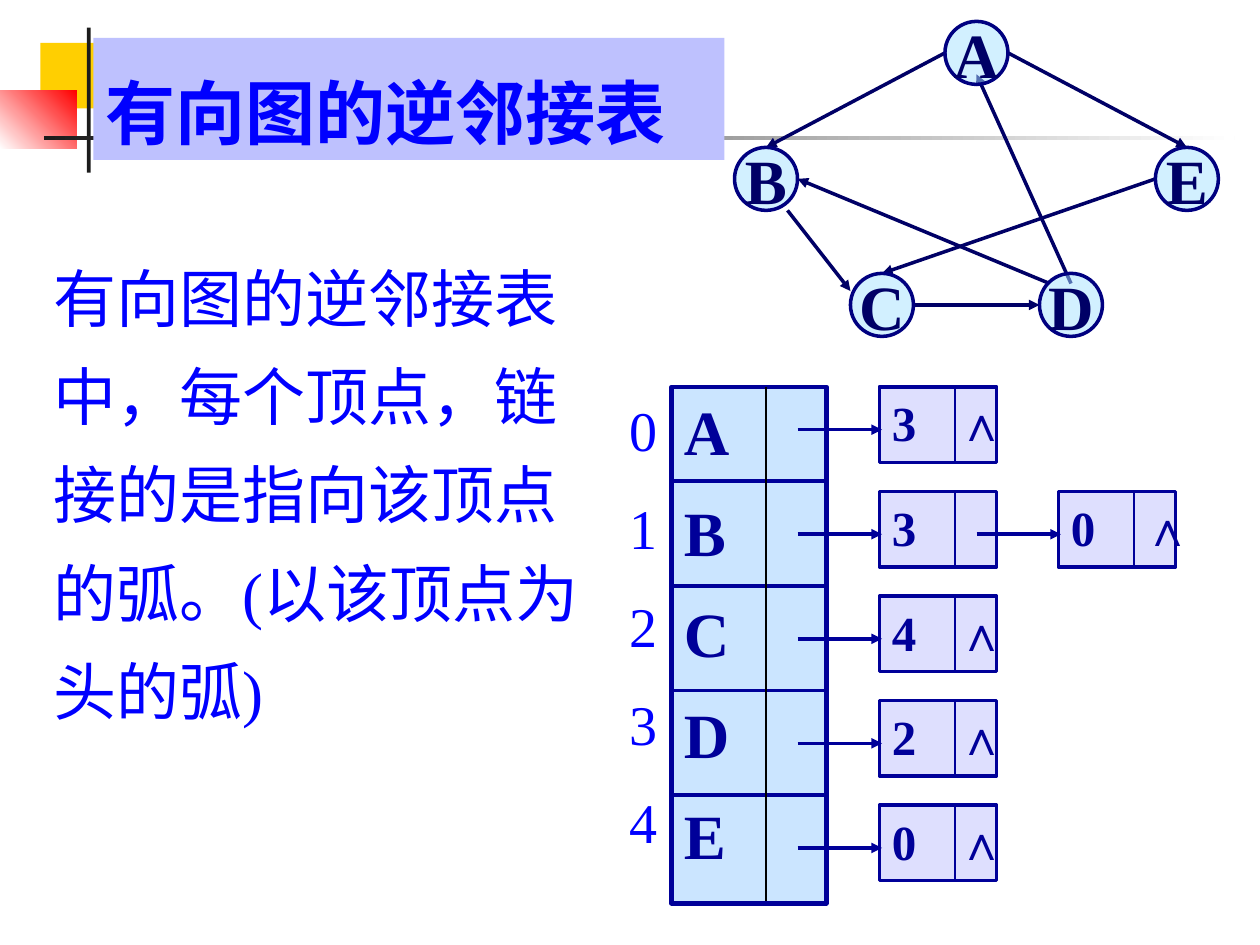
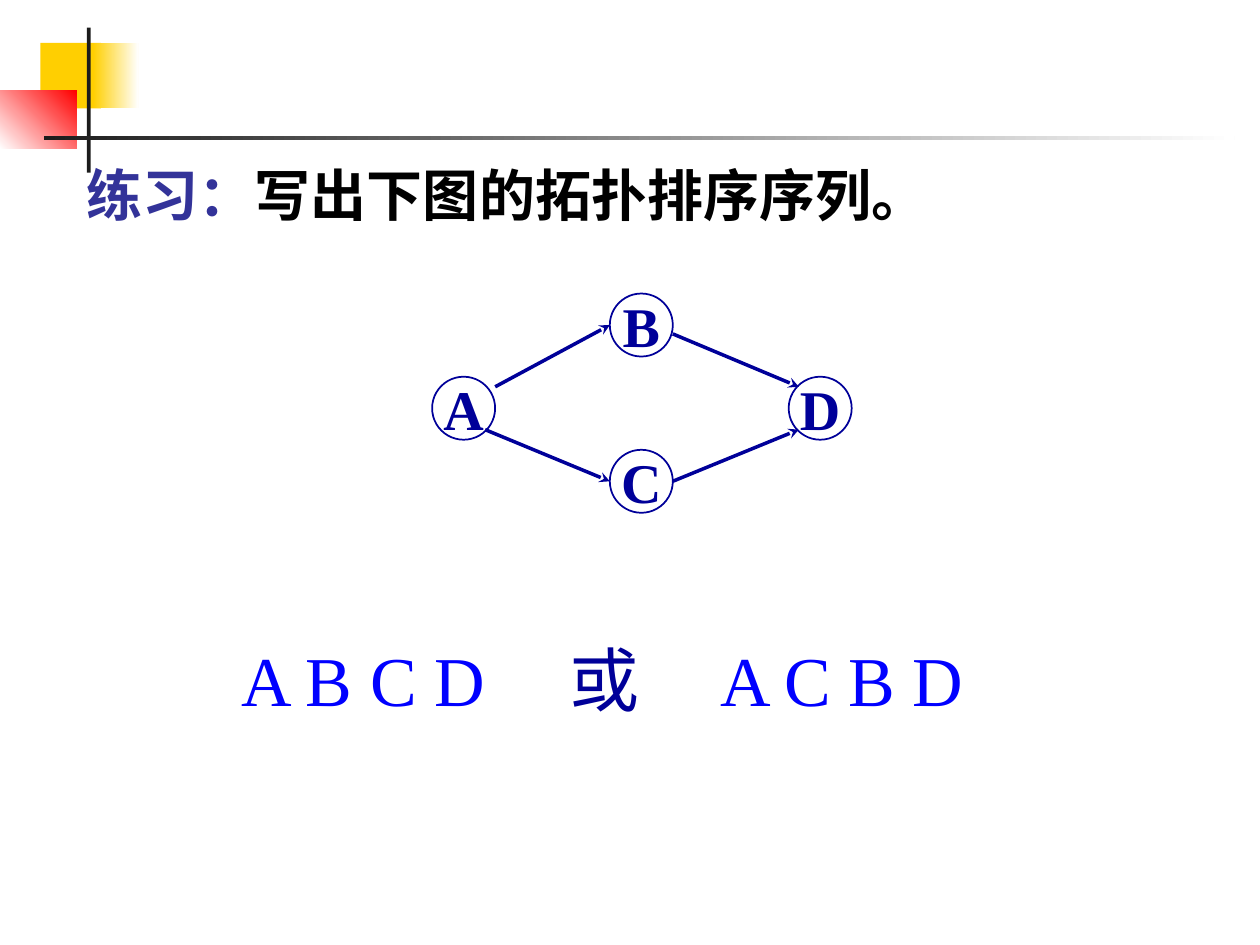
from lxml import etree
from pptx import Presentation
from pptx.dml.color import RGBColor
from pptx.enum.shapes import MSO_CONNECTOR, MSO_SHAPE
from pptx.enum.text import MSO_ANCHOR, MSO_AUTO_SIZE, PP_ALIGN
from pptx.oxml.ns import qn
from pptx.util import Inches, Pt

RECT, OVAL = MSO_SHAPE.RECTANGLE, MSO_SHAPE.OVAL
STRAIGHT = MSO_CONNECTOR.STRAIGHT
TOP, MIDDLE, BOTTOM = MSO_ANCHOR.TOP, MSO_ANCHOR.MIDDLE, MSO_ANCHOR.BOTTOM
LEFT, CENTER = PP_ALIGN.LEFT, PP_ALIGN.CENTER
GROW = MSO_AUTO_SIZE.SHAPE_TO_FIT_TEXT

SERIF, HAN = "Times New Roman", "Noto Sans CJK SC"
WHITE = RGBColor(0xFF, 0xFF, 0xFF)
BLACK = RGBColor(0, 0, 0)
GOLD = RGBColor(0xFF, 0xCF, 0x01)
RED = RGBColor(0xFF, 0, 0)
CHARCOAL = RGBColor(0x1C, 0x1C, 0x1C)
BLUE = RGBColor(0, 0, 0xFF)
INDIGO = RGBColor(0x33, 0x33, 0x99)
NAVY = RGBColor(0, 0, 0x99)
DARK_NAVY = RGBColor(0, 0, 0x66)
RIM = RGBColor(0, 0, 0x80)
LILAC = RGBColor(0xBE, 0xC1, 0xFE)
SKY = RGBColor(0x99, 0xCC, 0xFF)
AQUA = RGBColor(0xA7, 0xE2, 0xFF)

RADIUS = 0.25
# Points on a vertex, as offsets from its centre
N, E, W = (0, -RADIUS), (RADIUS, 0), (-RADIUS, 0)
NW, SW, SE = (-0.17, -0.17), (-0.17, 0.17), (0.17, 0.17)

ROW_TOP, ROW_STEP = 3.07, 0.83
NODE_LEFT, NODE_STEP = 6.98, 1.42
NODE_WIDTH, NODE_HEIGHT, NODE_DIVIDER = 0.93, 0.6, 0.6
LINKED_ROWS = [[3], [3, 0], [4], [2], [0]]


def inches(*lengths):
    return [Inches(length) for length in lengths]


def add_panel(page, kind, place, fill=None, line=None, width=1, opacity=100):
    """Add a preset shape; a pair of colours as fill makes a gradient."""
    shape = page.shapes.add_shape(kind, *inches(*place))
    shape.shadow.inherit = False
    if fill is None:
        shape.fill.background()
    elif isinstance(fill, RGBColor):
        shape.fill.solid()
        shape.fill.fore_color.rgb = fill
    else:
        shape.fill.gradient()
        for stop, colour in zip(shape.fill.gradient_stops, fill):
            stop.color.rgb = colour
        shape.fill.gradient_angle = 0
    if opacity < 100:
        colour = shape.fill._xPr.find(qn("a:solidFill"))[0]
        etree.SubElement(colour, qn("a:alpha"), val=str(opacity * 1000))
    if line is None:
        shape.line.fill.background()
    else:
        shape.line.color.rgb = line
        shape.line.width = Pt(width)
    return shape


def add_box(page, place):
    return page.shapes.add_textbox(*inches(*place))


def add_line(page, start, end, colour, width, head=None):
    line = page.shapes.add_connector(STRAIGHT, *inches(*start, *end))
    line.line.color.rgb = colour
    line.line.width = Pt(width)
    if head:
        etree.SubElement(line.line._get_or_add_ln(), qn("a:tailEnd"), type=head)
    etree.SubElement(line._element.spPr, qn("a:effectLst"))


def set_space_before(para, percent):
    para.space_before = Pt(0)
    space = para._p.pPr.find(qn("a:spcBef"))
    space.remove(space[0])
    etree.SubElement(space, qn("a:spcPct"), val=str(percent * 1000))


def set_tabs(para, stops):
    tabs = etree.SubElement(para._p.get_or_add_pPr(), qn("a:tabLst"))
    for stop in stops:
        etree.SubElement(tabs, qn("a:tab"), pos=str(Inches(stop)), algn="l")


def write(shape, lines, size, bold=False, font=SERIF, anchor=TOP, align=LEFT,
          wrap=True, grow=True, spacing=None, before=0):
    """Fill a shape with paragraphs, each a list of (text, colour) runs."""
    frame = shape.text_frame
    frame.word_wrap = wrap
    frame.vertical_anchor = anchor
    if grow:
        frame.auto_size = GROW
    for index, spans in enumerate(lines):
        para = frame.add_paragraph() if index else frame.paragraphs[0]
        para.alignment = align
        if spacing:
            para.line_spacing = spacing
        if before:
            set_space_before(para, before)
        for text, colour in spans:
            span = para.add_run()
            span.text = text
            span.font.name = font
            span.font.size = Pt(size)
            span.font.bold = bold
            span.font.color.rgb = colour
            if max(text) >= "一":
                etree.SubElement(span._r.rPr, qn("a:ea"), typeface=HAN)
    return frame


def add_page(deck):
    """Add a blank page with the shared corner squares and cross lines."""
    page = deck.slides.add_slide(deck.slide_layouts[6])
    add_panel(page, RECT, (0.32, 0.34, 0.48, 0.52), GOLD)
    add_panel(page, RECT, (0.74, 0.34, 0.36, 0.52), (GOLD, WHITE))
    red_square = add_panel(page, RECT, (0, 0.72, 0.61, 0.46), (WHITE, RED))
    red_square.fill.gradient_angle = 45
    add_panel(page, RECT, (0.69, 0.22, 0.03, 1.15), CHARCOAL)
    add_panel(page, RECT, (0.35, 1.08, 9.45, 0.03), (CHARCOAL, WHITE))
    return page


def add_vertices(page, centres, size, colour, **look):
    for name, (x, y) in centres.items():
        place = (x - RADIUS, y - RADIUS, 2 * RADIUS, 2 * RADIUS)
        vertex = add_panel(page, OVAL, place, **look)
        write(vertex, [[(name, colour)]], size, bold=True, anchor=MIDDLE,
              align=CENTER, wrap=False, grow=False)


def add_arcs(page, centres, arcs, colour, head):
    for tail, leave, tip, arrive in arcs:
        start, end = [
            (centres[name][0] + dx, centres[name][1] + dy)
            for name, (dx, dy) in ((tail, leave), (tip, arrive))]
        add_line(page, start, end, colour, 2, head)


def add_list_node(page, row, column, value, last):
    left = NODE_LEFT + column * NODE_STEP
    top = ROW_TOP + row * ROW_STEP
    node = add_panel(page, RECT, (left, top, NODE_WIDTH, NODE_HEIGHT),
                     LILAC, NAVY, 2, opacity=50)
    write(node, [[(str(value), NAVY)]], 28, bold=True)
    divider = left + NODE_DIVIDER
    add_line(page, (divider, top + 0.01), (divider, top + NODE_HEIGHT - 0.01),
             NAVY, 1)
    add_line(page, (left - 0.65, top + 0.34), (left + 0.02, top + 0.34),
             NAVY, 2, "triangle")
    if last:
        mark_left = left + (0.58 if column else 0.52)
        mark = add_box(page, (mark_left, top, 0.44, 0.57))
        write(mark, [[("∧", NAVY)]], 28, bold=True, wrap=False)


def add_vertex_table(page):
    left, width, height, divider = 5.33, 1.23, 4.1, 6.08
    table = add_panel(page, RECT, (left, ROW_TOP, width, height),
                      SKY, NAVY, 2.5, opacity=50)
    write(table, [[(name, NAVY)] for name in "ABCDE"], 36, bold=True, before=40)
    for row in range(1, 5):
        y = ROW_TOP - 0.08 + row * ROW_STEP
        add_line(page, (left, y), (left + 1.25, y), NAVY, 2.25)
    add_line(page, (divider, ROW_TOP), (divider, ROW_TOP + height - 0.02),
             BLACK, 1)


def build_inverse_list(deck):
    page = add_page(deck)
    centres = {"A": (7.75, 0.42), "B": (6.08, 1.42), "E": (9.42, 1.42),
               "C": (7, 2.42), "D": (8.5, 2.42)}
    arcs = [("A", W, "B", N), ("B", (0.17, 0.25), "C", (-0.25, -0.11)),
            ("C", E, "D", W), ("D", (0, -0.17), "A", (0, 0.17)),
            ("A", E, "E", N), ("D", NW, "B", E), ("E", W, "C", N)]
    add_arcs(page, centres, arcs, DARK_NAVY, "triangle")
    add_vertices(page, centres, 36, DARK_NAVY,
                 fill=AQUA, line=RIM, width=2, opacity=50)

    title = add_panel(page, RECT, (0.74, 0.3, 5.01, 0.97), LILAC)
    write(title, [[("有向图的逆邻接表", BLUE)]], 40, bold=True, spacing=1.3)

    add_vertex_table(page)
    for row, values in enumerate(LINKED_ROWS):
        for column, value in enumerate(values):
            add_list_node(page, row, column, value, column == len(values) - 1)

    indices = add_box(page, (4.9, 3.09, 0.42, 3.94))
    write(indices, [[(str(row), BLUE)] for row in range(5)], 32,
          wrap=False, before=55)
    body = add_box(page, (0.33, 1.83, 4.42, 4.01))
    write(body, [[("有向图的逆邻接表中，每个顶点，链接的是指向该顶点的弧。"
                   "(以该顶点为头的弧)", BLUE)]], 36, spacing=1.3)


def build_exercise(deck):
    page = add_page(deck)
    centres = {"B": (5.09, 2.58), "D": (6.51, 3.24),
               "A": (3.68, 3.24), "C": (5.09, 3.82)}
    arcs = [("A", (0.25, -0.17), "B", W), ("A", SE, "C", W),
            ("B", (0.25, 0.07), "D", NW), ("C", E, "D", SW)]
    add_vertices(page, centres, 32, NAVY, line=NAVY)
    add_arcs(page, centres, arcs, NAVY, "stealth")

    answer = add_box(page, (0.57, 5, 9, 0.77))
    spans = [("A B C D\t", BLUE), ("或\t", NAVY), ("A C B D", BLUE)]
    frame = write(answer, [spans], 40, before=50)
    frame.margin_left = Inches(1.35)
    set_tabs(frame.paragraphs[0], (2.6, 3.8))

    question = add_box(page, (0.59, 1.23, 8.98, 0.63))
    spans = [("练习：", INDIGO), ("写出下图的拓扑排序序列。", BLACK)]
    write(question, [spans], 32, bold=True, font=HAN, anchor=BOTTOM,
          grow=False, spacing=1.5)


def main():
    deck = Presentation()
    deck.slide_width, deck.slide_height = inches(10, 7.5)
    build_inverse_list(deck)
    build_exercise(deck)
    deck.save("out.pptx")


if __name__ == "__main__":
    main()
